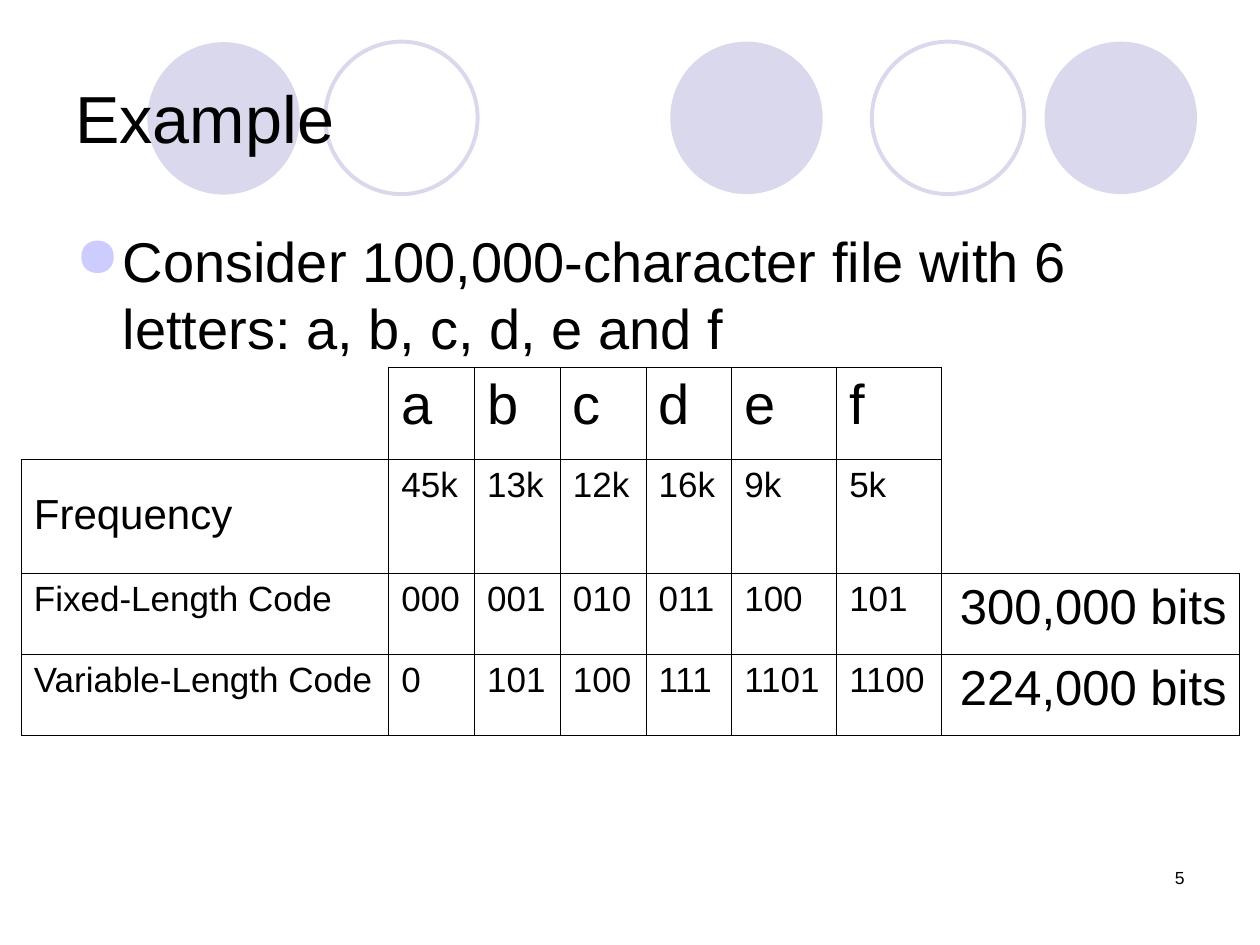
from lxml import etree
from pptx import Presentation
from pptx.dml.color import RGBColor
from pptx.enum.shapes import MSO_SHAPE
from pptx.enum.text import MSO_ANCHOR, PP_ALIGN
from pptx.oxml.ns import qn
from pptx.util import Pt

OVAL = MSO_SHAPE.OVAL
TOP, MIDDLE = MSO_ANCHOR.TOP, MSO_ANCHOR.MIDDLE
LEFT, RIGHT = PP_ALIGN.LEFT, PP_ALIGN.RIGHT
FONT = "Arial"
BLACK, LAVENDER, BULLET = "000000", "D9D8EC", "CCCCFF"
BORDER_WIDTH = 0.45

CIRCLE_SIZE = 87.1
CIRCLES = [  # left, top, filled
    (383, 23.8, True), (596.9, 23.8, True), (84.2, 24.1, True),
    (498.2, 23.8, False), (185.8, 23.8, False),
]

COLUMN_WIDTHS = [210] + [49] * 4 + [60] * 2 + [170]
ROW_HEIGHTS = [52.7, 65, 46.3, 46.3]
CODE_ROWS = [
    ["", "a", "b", "c", "d", "e", "f", ""],
    ["Frequency", "45k", "13k", "12k", "16k", "9k", "5k", ""],
    ["Fixed-Length Code", "000", "001", "010", "011", "100", "101", "300,000 bits"],
    ["Variable-Length Code", "0", "101", "100", "111", "1101", "1100", "224,000 bits"],
]


def color(hex_string):
    return RGBColor.from_string(hex_string)


def style_paragraph(paragraph, size, align=LEFT, space_before=0):
    paragraph.alignment = align
    paragraph.space_before = Pt(space_before)
    paragraph.font.name = FONT
    paragraph.font.size = Pt(size)
    paragraph.font.color.rgb = color(BLACK)


def add_text(slide, box, text, size, anchor=TOP, align=LEFT, space_before=0):
    shape = slide.shapes.add_textbox(*map(Pt, box))
    frame = shape.text_frame
    frame.word_wrap = True
    frame.vertical_anchor = anchor
    paragraph = frame.paragraphs[0]
    paragraph.text = text
    style_paragraph(paragraph, size, align, space_before)
    return paragraph


def add_circles(slide):
    for left, top, filled in CIRCLES:
        circle = slide.shapes.add_shape(
            OVAL, Pt(left), Pt(top), Pt(CIRCLE_SIZE), Pt(CIRCLE_SIZE))
        circle.shadow.inherit = False
        if filled:
            circle.fill.solid()
            circle.fill.fore_color.rgb = color(LAVENDER)
            circle.line.fill.background()
        else:
            circle.fill.background()
            circle.line.color.rgb = color(LAVENDER)
            circle.line.width = Pt(2.25)


def add_bullet_text(slide, box, text):
    paragraph = add_text(slide, box, text, 32, space_before=8)
    properties = paragraph._p.get_or_add_pPr()
    properties.set("marL", str(Pt(27)))
    properties.set("indent", str(Pt(-27)))
    bullet_color = etree.Element(qn("a:buClr"))
    etree.SubElement(bullet_color, qn("a:srgbClr"), val=BULLET)
    bullet = etree.Element(qn("a:buChar"), char="●")
    properties.find(qn("a:spcBef")).addnext(bullet_color)
    bullet_color.addnext(bullet)


def has_text(row, column):
    return (0 <= row < len(CODE_ROWS) and 0 <= column < len(CODE_ROWS[0])
            and CODE_ROWS[row][column] != "")


def set_borders(cell, row, column):
    """Draw each side that touches a cell with text; clear the others."""
    neighbours = {"L": (row, column - 1), "R": (row, column + 1),
                  "T": (row - 1, column), "B": (row + 1, column)}
    properties = cell._tc.get_or_add_tcPr()
    for side, neighbour in neighbours.items():
        line = etree.SubElement(properties, qn(f"a:ln{side}"), w=str(Pt(BORDER_WIDTH)))
        if has_text(row, column) or has_text(*neighbour):
            fill = etree.SubElement(line, qn("a:solidFill"))
            etree.SubElement(fill, qn("a:srgbClr"), val=BLACK)
        else:
            etree.SubElement(line, qn("a:noFill"))


def fill_cell(cell, row, column):
    paragraph = cell.text_frame.paragraphs[0]
    text = CODE_ROWS[row][column]
    if text:
        paragraph.text = text
    if row == 0:
        style_paragraph(paragraph, 32, space_before=8)
    elif column == len(COLUMN_WIDTHS) - 1:
        style_paragraph(paragraph, 28, RIGHT, 7)
    elif text == "Frequency":
        style_paragraph(paragraph, 24, space_before=10)
        # A larger trailing space lowers the baseline of this label.
        spacer = paragraph.add_run()
        spacer.text = " "
        spacer.font.size = Pt(40)
    else:
        style_paragraph(paragraph, 20, space_before=5)


def add_code_table(slide, left, top):
    box = (left, top, sum(COLUMN_WIDTHS), sum(ROW_HEIGHTS))
    table = slide.shapes.add_table(
        len(ROW_HEIGHTS), len(COLUMN_WIDTHS), *map(Pt, box)).table
    table.first_row = table.horz_banding = False
    for column, width in zip(table.columns, COLUMN_WIDTHS):
        column.width = Pt(width)
    for row, height in zip(table.rows, ROW_HEIGHTS):
        row.height = Pt(height)
    for row in range(len(ROW_HEIGHTS)):
        for column in range(len(COLUMN_WIDTHS)):
            cell = table.cell(row, column)
            set_borders(cell, row, column)
            cell.fill.background()
            fill_cell(cell, row, column)


def main():
    presentation = Presentation()
    presentation.slide_width, presentation.slide_height = Pt(720), Pt(540)
    slide = presentation.slides.add_slide(presentation.slide_layouts[6])
    add_circles(slide)
    add_text(slide, (516, 492, 168, 36), "5", 10, align=RIGHT)
    add_text(slide, (36, 21.6, 648, 90), "Example", 38, anchor=MIDDLE)
    add_bullet_text(slide, (36, 126, 648, 356.4),
                    "Consider 100,000-character file with 6 letters: a, b, c, d, e and f")
    add_code_table(slide, 12.2, 210)
    presentation.save("out.pptx")


if __name__ == "__main__":
    main()
